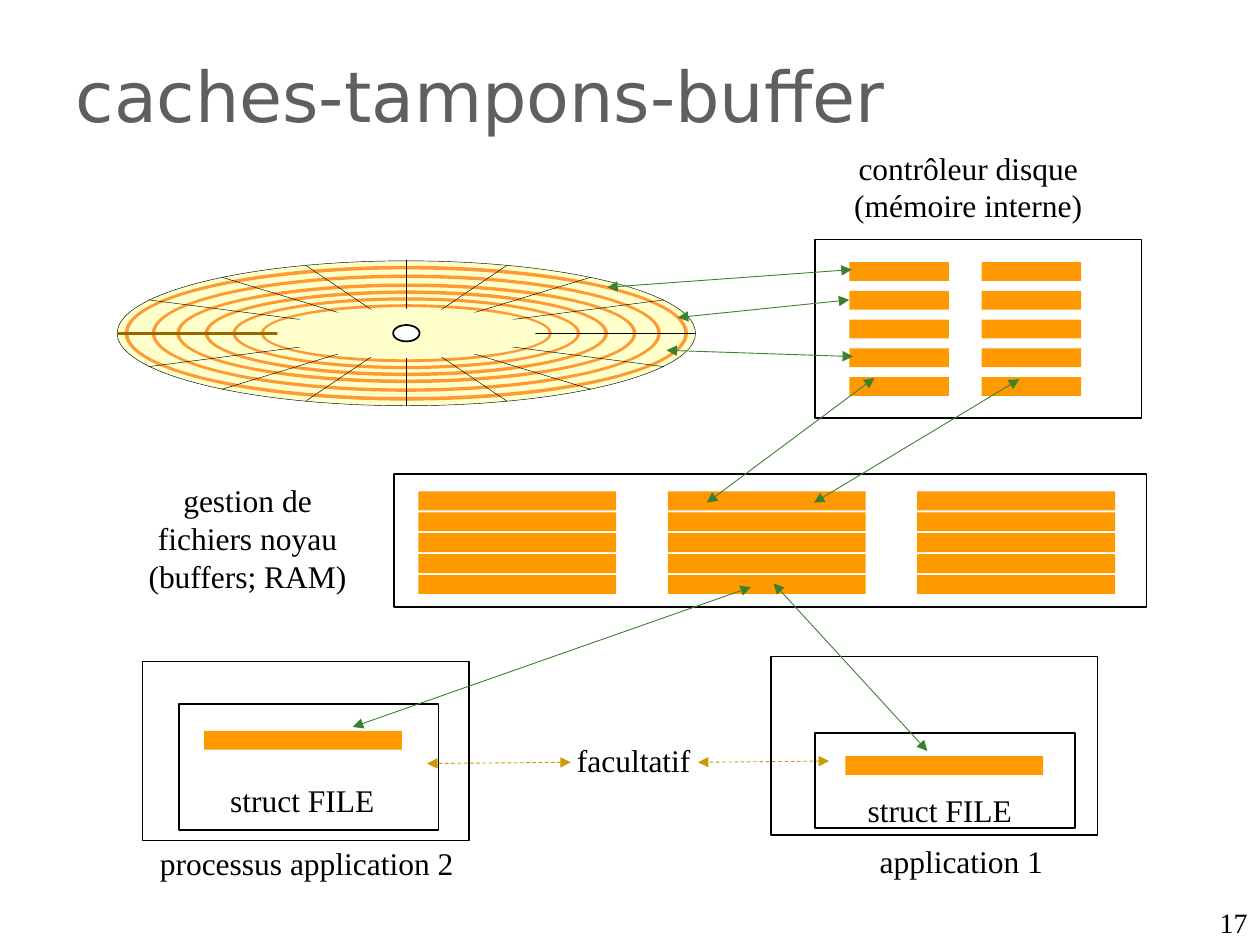
import pptx
import pptx.util
import pptx.dml.color
import pptx.enum.dml
import pptx.enum.shapes
import pptx.enum.text
import pptx.oxml

SHAPE = pptx.enum.shapes.MSO_SHAPE
ALIGN = pptx.enum.text.PP_ALIGN
ANCHOR = pptx.enum.text.MSO_ANCHOR
BLACK, CREAM, RING, BUFFER = "000000", "FFFFCC", "FF9933", "FF9900"
GREEN, GOLD, BROWN = "3B812F", "CC9900", "996600"
SERIF = "Times New Roman"

# Content: boxes are left, top, width, height in inches
TITLE = ("caches-tampons-buffer", (0.5, 0.33, 7.13, 0.84))
LABELS = [
    ("contrôleur disque (mémoire interne)", (6.48, 1.13, 2.41, 0.7)),
    ("application 1", (6.87, 6.63, 1.52, 0.4)),
    ("gestion de fichiers noyau (buffers; RAM)", (1.06, 3.77, 1.81, 1)),
    ("processus application 2", (1.06, 6.65, 2.75, 0.4)),
    ("struct FILE", (1.45, 6.15, 1.9, 0.4)),
    ("struct FILE", (6.51, 6.23, 1.9, 0.4)),
    ("facultatif", (4.27, 5.83, 1.52, 0.4)),
]
PAGE_NUMBER = ("17", (7.67, 7.14, 2.33, 0.36))

# Disk: every part shares one centre
CENTRE = (3.225, 2.645)
DISK, HUB, SPINDLE = (4.59, 1.15), (2.05, 0.39), (0.21, 0.13)
TRACKS = [  # width, height, ring thickness
    (4.47, 1.07, 0.027), (4.04, 0.93, 0.029), (3.65, 0.79, 0.035),
    (3.2, 0.68, 0.041), (2.76, 0.57, 0.045), (2.31, 0.46, 0.05),
]
SPOKES = [(0, 0.58), (0.8, 0.54), (1.465, 0.445), (2.045, 0.265)]

FRAMES = [
    (6.47, 1.9, 2.59, 1.42),   # disk controller
    (3.13, 3.76, 5.97, 1.06),  # kernel
    (1.13, 5.25, 2.59, 1.42),  # application 2
    (6.12, 5.21, 2.59, 1.42),  # application 1
    (1.42, 5.59, 2.06, 1),     # FILE of application 2
    (6.47, 5.82, 2.06, 0.75),  # FILE of application 1
]
BUFFER_HEIGHT = 0.15
BUFFER_STACKS = [  # lefts, top, width, row pitch, rows
    ((6.74, 7.79), 2.08, 0.79, 0.228, 5),
    ((3.32, 5.3, 7.28), 3.9, 1.57, 0.166, 5),
    ((1.62,), 5.8, 1.57, 0, 1),
    ((6.71,), 6, 1.57, 0, 1),
]
TRANSFERS = [
    ((4.82, 2.28), (6.76, 2.14)), ((5.38, 2.52), (6.74, 2.38)),
    ((5.29, 2.78), (6.77, 2.83)), ((2.8, 5.77), (5.96, 4.66)),
    ((6.46, 3.99), (8.09, 3.01)), ((5.61, 3.99), (6.94, 3)),
    ((7.36, 5.96), (6.14, 4.63)),
]
OPTIONAL = [((4.53, 6.05), (3.39, 6.06)), ((6.58, 6.04), (5.54, 6.05))]

deck = pptx.Presentation()
deck.slide_width, deck.slide_height = pptx.util.Inches(10), pptx.util.Inches(7.5)
slide = deck.slides.add_slide(deck.slide_layouts[5])


def rgb(value):
    return pptx.dml.color.RGBColor.from_string(value)


def inches(values):
    return [pptx.util.Inches(value) for value in values]


def add_part(kind, box, fill=None, line=None, width=1):
    part = slide.shapes.add_shape(kind, *inches(box))
    part.shadow.inherit = False
    if fill:
        part.fill.solid()
        part.fill.fore_color.rgb = rgb(fill)
    else:
        part.fill.background()
    if line:
        part.line.color.rgb = rgb(line)
        part.line.width = pptx.util.Pt(width)
    else:
        part.line.fill.background()
    return part


def add_line(start, end, color, width, arrows=False, dashed=False):
    link = slide.shapes.add_connector(
        pptx.enum.shapes.MSO_CONNECTOR.STRAIGHT, *inches(start + end))
    link.line.color.rgb = rgb(color)
    link.line.width = pptx.util.Pt(width)
    if dashed:
        link.line.dash_style = pptx.enum.dml.MSO_LINE.DASH
    properties = link._element.spPr
    if arrows:
        for name in ("headEnd", "tailEnd"):
            tip = pptx.oxml.parse_xml(
                f'<a:{name} xmlns:a="http://schemas.openxmlformats.org/drawingml/2006/main"'
                ' type="triangle" w="med" len="med"/>')
            link.line._get_or_add_ln().append(tip)
    properties.append(pptx.oxml.parse_xml(
        '<a:effectLst xmlns:a="http://schemas.openxmlformats.org/drawingml/2006/main"/>'))


def write(holder, text, size, font=SERIF, color=BLACK, align=ALIGN.CENTER, anchor=ANCHOR.TOP):
    frame = holder.text_frame
    frame.text = text
    settings = {"word_wrap": True, "vertical_anchor": anchor,
                "auto_size": pptx.enum.text.MSO_AUTO_SIZE.NONE}
    for name, value in settings.items():
        setattr(frame, name, value)
    paragraph = frame.paragraphs[0]
    paragraph.alignment = align
    letters = paragraph.runs[0].font
    for name, value in {"name": font, "size": pptx.util.Pt(size)}.items():
        setattr(letters, name, value)
    letters.color.rgb = rgb(color)


def add_label(text, box, size=18, **style):
    write(slide.shapes.add_textbox(*inches(box)), text, size, **style)


def centred(width, height):
    return CENTRE[0] - width / 2, CENTRE[1] - height / 2, width, height


# Title
heading = slide.shapes.title
for name, value in zip(("left", "top", "width", "height"), inches(TITLE[1])):
    setattr(heading, name, value)
write(heading, TITLE[0], 40, "DejaVu Sans", "5F5F5F", ALIGN.LEFT, ANCHOR.MIDDLE)

# Disk with tracks, sectors and hub
add_part(SHAPE.OVAL, centred(*DISK), CREAM, BLACK, 0.25)
for width, height, thickness in TRACKS:
    add_part(SHAPE.DONUT, centred(width, height), RING).adjustments[0] = thickness
x, y = CENTRE
reach = DISK[0] / 2
add_line((x - reach, y), (x, y), BROWN, 1.5)
add_line((x, y), (x + reach, y), BLACK, 0.25)
for dx, dy in SPOKES:
    for side in ((1, -1) if dx else (1,)):
        add_line((x - side * dx, y + dy), (x + side * dx, y - dy), BLACK, 0.25)
add_part(SHAPE.OVAL, centred(*HUB), CREAM)
add_part(SHAPE.OVAL, centred(*SPINDLE), "FFFFFF", BLACK)

# Memory areas and their buffers
for box in FRAMES:
    add_part(SHAPE.RECTANGLE, box, line=BLACK)
for lefts, top, width, pitch, rows in BUFFER_STACKS:
    for left in lefts:
        for row in range(rows):
            add_part(SHAPE.RECTANGLE, (left, top + row * pitch, width, BUFFER_HEIGHT), BUFFER)

# Labels
for text, box in LABELS:
    add_label(text, box)
add_label(*PAGE_NUMBER, size=16, align=ALIGN.RIGHT, anchor=ANCHOR.BOTTOM)

# Data transfers
for start, end in TRANSFERS:
    add_line(start, end, GREEN, 0.5, arrows=True)
for start, end in OPTIONAL:
    add_line(start, end, GOLD, 0.5, arrows=True, dashed=True)

deck.save("out.pptx")
